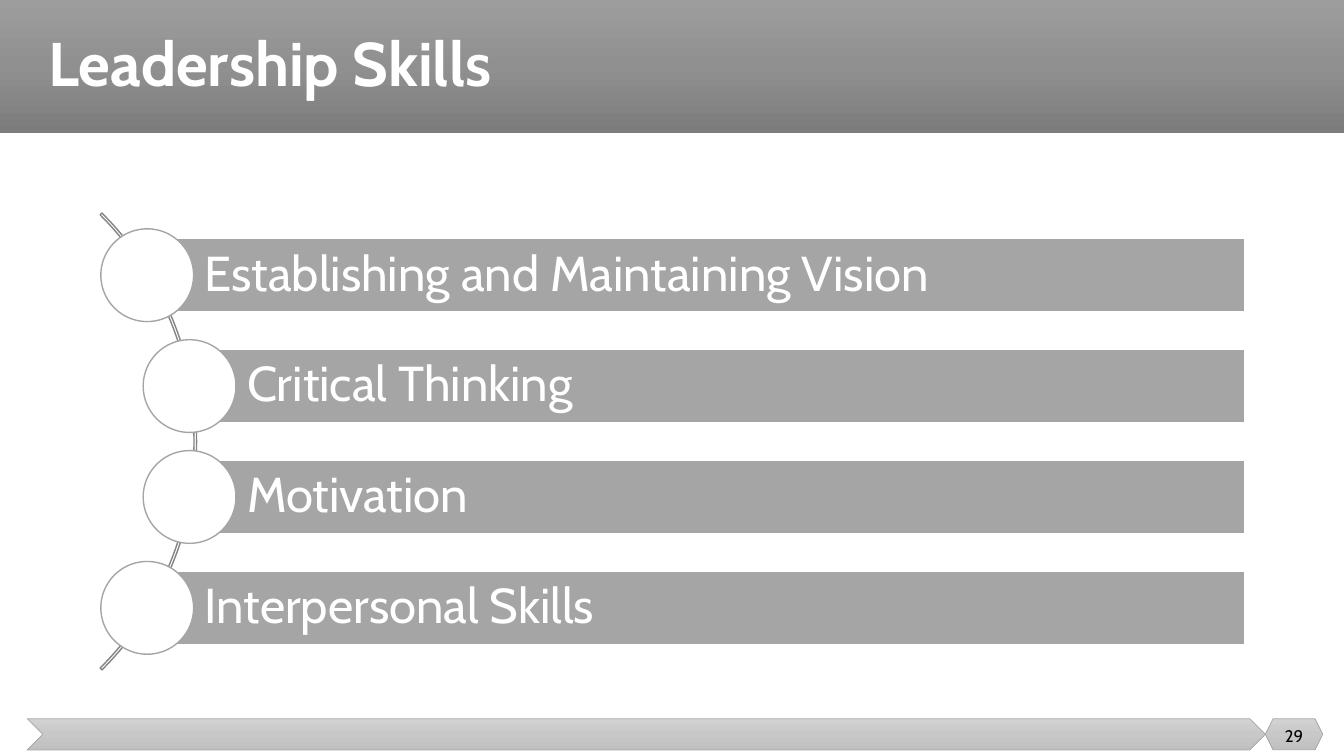
from copy import deepcopy

from pptx import Presentation
from pptx.dml.color import RGBColor
from pptx.enum import shapes as sh, text as tx
from pptx.oxml.ns import qn
from pptx.util import Inches, Pt

FONT = "Cabin"
WHITE, GREY = "FFFFFF", "A5A5A5"
DARK = ["9D9D9D", "909090", "7C7C7C"]
LIGHT = ["D2D2D2", "C8C8C8", "C0C0C0"]
SKILLS = [
    "Establishing and Maintaining Vision",
    "Critical Thinking",
    "Motivation",
    "Interpersonal Skills",
]


def color(code):
    return RGBColor.from_string(code)


def blend(shape, codes):
    """Fill a shape from top to bottom through three evenly spaced colours."""
    fill = shape.fill
    fill.gradient()
    fill.gradient_angle = 270
    first = shape._element.spPr.find(qn("a:gradFill")).find(qn("a:gsLst"))[0]
    first.addnext(deepcopy(first))
    for i, (stop, code) in enumerate(zip(fill.gradient_stops, codes)):
        stop.position = i / 2
        stop.color.rgb = color(code)


def draw(slide, kind, box, fill=None, line=None, width=1):
    """Add a preset shape; a list of colours as fill gives a gradient."""
    shape = slide.shapes.add_shape(kind, *map(Inches, box))
    shape.shadow.inherit = False
    if isinstance(fill, list):
        blend(shape, fill)
    elif fill:
        shape.fill.solid()
        shape.fill.fore_color.rgb = color(fill)
    if line:
        shape.line.color.rgb = color(line)
        shape.line.width = Pt(width)
    else:
        shape.line.fill.background()
    return shape


def write(shape, words, size, ink=WHITE, bold=False, align=tx.PP_ALIGN.LEFT,
          inset=0.1, space=0.9):
    frame = shape.text_frame
    frame.word_wrap = True
    frame.vertical_anchor = tx.MSO_ANCHOR.MIDDLE
    frame.margin_left = Inches(inset)
    frame.margin_right = Inches(0.1)
    para = frame.paragraphs[0]
    para.alignment = align
    para.line_spacing = space
    run = para.add_run()
    run.text = words
    run.font.name = FONT
    run.font.size = Pt(size)
    run.font.bold = bold
    run.font.color.rgb = color(ink)


def label(slide, box, words, size, **style):
    write(slide.shapes.add_textbox(*map(Inches, box)), words, size, **style)


def header(slide, box, title):
    left, top, wide, high = box
    draw(slide, sh.MSO_SHAPE.RECTANGLE, box, DARK)
    label(slide, (left + 0.38, top, wide - 0.59, high), title, 44, bold=True)


def footer(slide, box, number):
    left, top, wide, high = box
    badge = 0.57
    edge = left + wide - badge
    draw(slide, sh.MSO_SHAPE.CHEVRON, (left, top, wide - badge, high),
         LIGHT, GREY, 0.5)
    draw(slide, sh.MSO_SHAPE.HEXAGON, (edge, top, badge, high),
         LIGHT, GREY, 0.5)
    label(slide, (edge, top - 0.03, badge, 0.4), number, 12, ink="000000",
          align=tx.PP_ALIGN.CENTER, space=1)


def skills(slide, box, names):
    """Place bars with round markers along an arc, the inner rows indented."""
    left, top, wide, high = box
    dot, bar, arc = 0.92, 0.73, 6.41
    pitch = (high - dot) / (len(names) - 1)

    curve = draw(slide, sh.MSO_SHAPE.BLOCK_ARC,
                 (left - 5.46, top + (high - arc) / 2, arc, arc),
                 line="848484")
    curve.fill.background()
    for i, value in enumerate((189, 27, 0.004)):
        curve.adjustments[i] = value

    for i, name in enumerate(names):
        shift = 0 if i in (0, len(names) - 1) else 0.42
        x, y = left + shift, top + i * pitch
        start = x + 0.45
        strip = draw(slide, sh.MSO_SHAPE.RECTANGLE,
                     (start, y + (dot - bar) / 2, left + wide - start, bar),
                     GREY, WHITE)
        write(strip, name, 35, inset=0.58)
        draw(slide, sh.MSO_SHAPE.OVAL, (x, y, dot, dot), WHITE, GREY)


def main():
    deck = Presentation()
    deck.slide_width, deck.slide_height = Inches(13.33), Inches(7.5)
    slide = deck.slides.add_slide(deck.slide_layouts[6])
    header(slide, (0, 0, 13.33, 1.32), "Leadership Skills")
    skills(slide, (1, 2.27, 11.35, 4.22), SKILLS)
    footer(slide, (0.27, 7.13, 12.85, 0.31), "29")
    deck.save("out.pptx")


if __name__ == "__main__":
    main()
